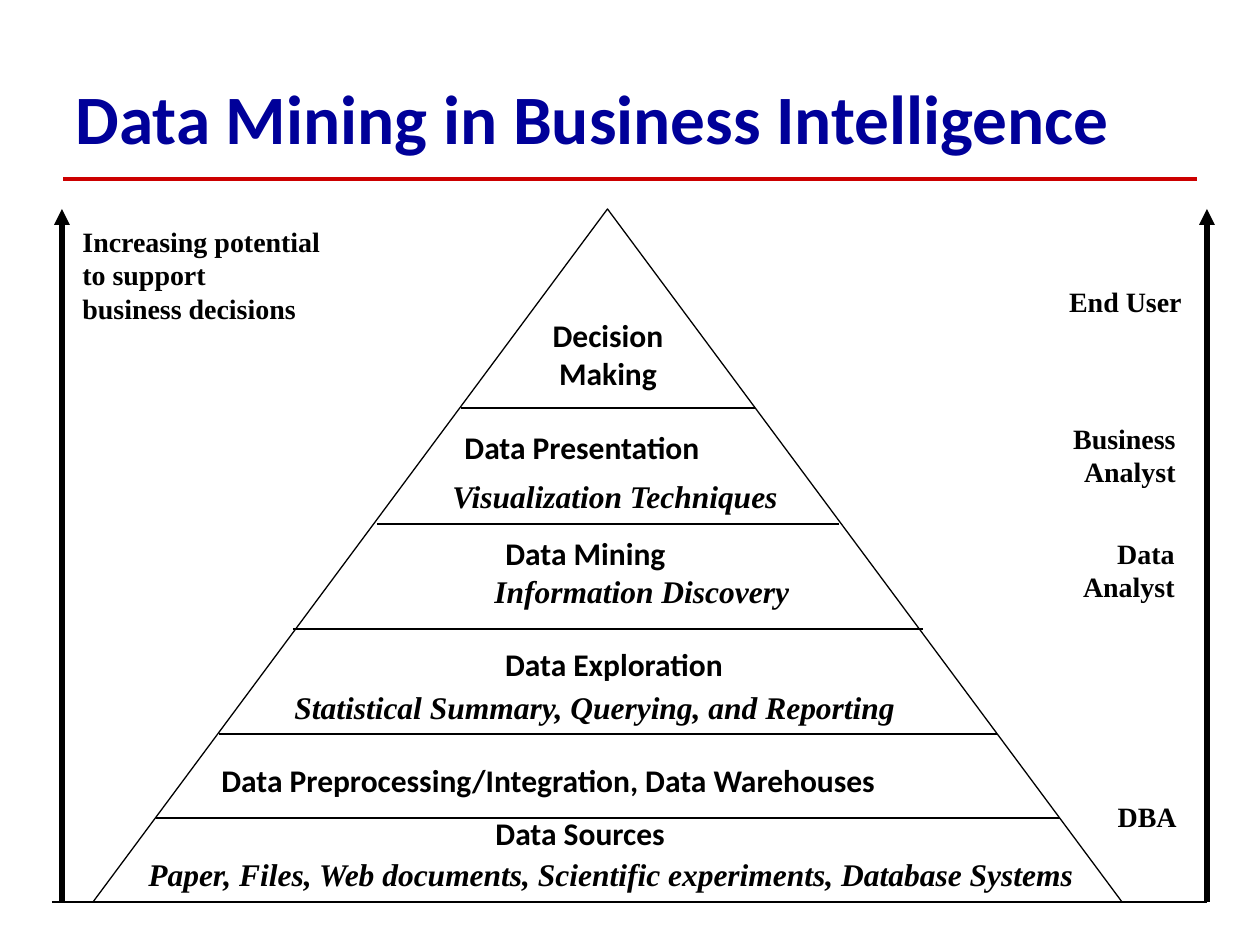
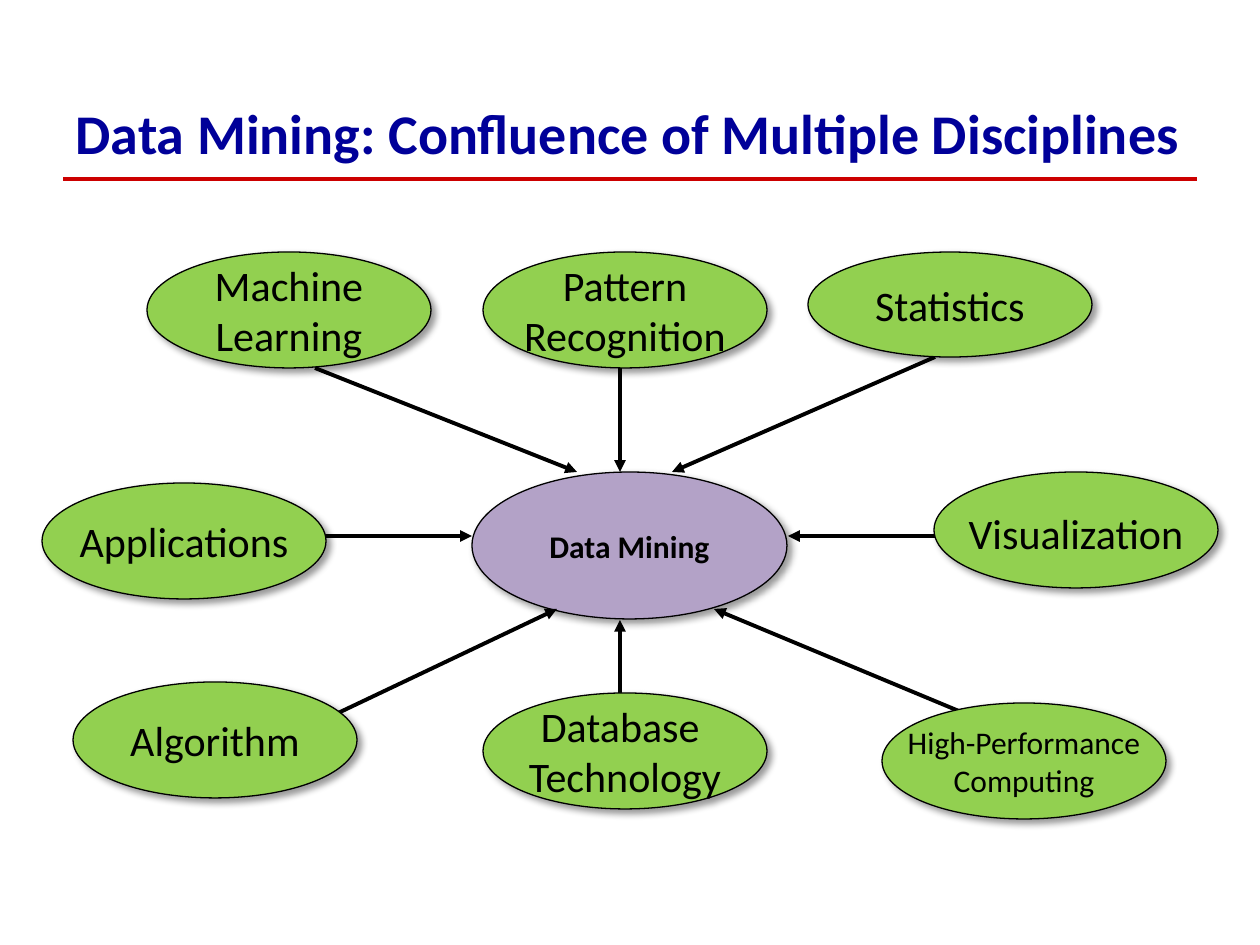
from lxml import etree
from pptx import Presentation
from pptx import util as u
from pptx.dml.color import RGBColor
from pptx.enum import shapes, text
from pptx.oxml import ns

BLACK, NAVY, RED = "000000", "000099", "CC0000"
GREEN, PURPLE = "92D050", "B3A2C7"
SANS, SERIF = "Calibri", "Times New Roman"
LEFT, CENTER, RIGHT = text.PP_ALIGN.LEFT, text.PP_ALIGN.CENTER, text.PP_ALIGN.RIGHT
BASE_Y, TOP_Y = 902, 209


def px(n):
    """Turn picture pixels into EMU."""
    return u.Emu(round(n * 914400 / 126))


def color(value):
    """Turn a hex string into a colour."""
    return RGBColor.from_string(value)


def sub(parent, tag, **attrs):
    """Append a DrawingML element."""
    return etree.SubElement(parent, ns.qn(tag), attrs)


def write(tf, words, size, font=SANS, align=LEFT, bold=False, italic=False, tint=BLACK):
    """Fill a text frame and format all its runs."""
    tf.text = words
    for p in tf.paragraphs:
        p.alignment = align
        for r in p.runs:
            r.font.name, r.font.size = font, u.Pt(size)
            r.font.bold, r.font.italic = bold, italic
            r.font.color.rgb = color(tint)


def outline(sp, tint=BLACK, width=0.75):
    """Set the line of a shape or connector."""
    sp.line.color.rgb = color(tint)
    sp.line.width = u.Pt(width)


def line(s, x1, y1, x2, y2, width=0.75, tint=BLACK, arrow=False):
    """Draw a straight line, with an arrowhead at its end if asked."""
    sp = s.shapes.add_connector(shapes.MSO_CONNECTOR.STRAIGHT, px(x1), px(y1), px(x2), px(y2))
    outline(sp, tint, width)
    if arrow:
        sub(sp.line._get_or_add_ln(), "a:tailEnd", type="triangle")
    sub(sp.element.spPr, "a:effectLst")
    return sp


def label(s, x, y, w, h, words, size=18, **style):
    """Add a bold text box."""
    tf = s.shapes.add_textbox(px(x), px(y), px(w), px(h)).text_frame
    tf.word_wrap = True
    write(tf, words, size, bold=True, **style)


def ellipse(s, x, y, words, w=284, h=116, fill=GREEN, size=24, bold=False):
    """Draw a shadowed ellipse with centred text."""
    sp = s.shapes.add_shape(shapes.MSO_SHAPE.OVAL, px(x), px(y), px(w), px(h))
    sp.fill.solid()
    sp.fill.fore_color.rgb = color(fill)
    outline(sp)
    effects = sub(sp.element.spPr, "a:effectLst")
    shadow = sub(effects, "a:outerShdw", blurRad=str(u.Pt(4)), dist=str(u.Pt(3)),
                 dir="2700000", algn="tl", rotWithShape="0")
    sub(sub(shadow, "a:srgbClr", val=BLACK), "a:alpha", val="40000")
    tf = sp.text_frame
    tf.word_wrap = False
    tf.vertical_anchor = text.MSO_ANCHOR.MIDDLE
    write(tf, words, size, align=CENTER, bold=bold)
    return sp


def titled_slide(prs, words, y, size):
    """Add a title-only slide with the shared title style."""
    s = prs.slides.add_slide(prs.slide_layouts[5])
    t = s.shapes.title
    t.left, t.top, t.width, t.height = px(63), px(y), px(1134), px(158)
    tf = t.text_frame
    write(tf, words, size, bold=True, tint=NAVY)
    tf.auto_size = text.MSO_AUTO_SIZE.NONE
    tf.vertical_anchor = text.MSO_ANCHOR.MIDDLE
    return s


def share_rule(prs, s):
    """Move a red title rule to the layout, so that every slide shows it."""
    rule = line(s, 63, 179, 1197, 179, 2.75, RED).element
    rule.nvCxnSpPr.cNvPr.set("id", "20")
    prs.slide_layouts[5].shapes.element.append(rule)


def pyramid_slide(s):
    """Draw the pyramid, its levels and the people who use them."""
    sp = s.shapes.add_shape(shapes.MSO_SHAPE.FLOWCHART_EXTRACT,
                            px(93), px(TOP_Y), px(1029), px(BASE_Y - TOP_Y))
    sp.fill.background()
    sp.shadow.inherit = False
    outline(sp)
    for x1, x2, y in [(156, 1060, 818), (219, 997, 734), (293, 923, 629),
                      (377, 839, 524), (461, 755, 408)]:
        line(s, x1, y, x2, y)
    for x in (62, 1207):
        line(s, x, BASE_Y, x, TOP_Y, 3, arrow=True)
    label(s, 70, 218, 270, 113, "Increasing potential\nto support\nbusiness decisions", 16, font=SERIF)
    for right, y, h, words in [(1194, 278, 47, "End User"), (1188, 415, 81, "Business\nAnalyst"),
                               (1187, 530, 81, "Data\nAnalyst"), (1189, 793, 47, "DBA")]:
        label(s, right - 145, y, 145, h, words, 16, font=SERIF, align=RIGHT)
    label(s, 524, 310, 168, 88, "Decision Making", align=CENTER)
    label(s, 452, 422, 311, 50, "Data Presentation")
    label(s, 493, 528, 246, 50, "Data Mining")
    label(s, 452, 639, 324, 50, "Data Exploration", align=CENTER)
    label(s, 209, 755, 830, 50, "Data Preprocessing/Integration, Data Warehouses")
    label(s, 483, 808, 234, 50, "Data Sources")
    for x, y, w, words in [
            (440, 471, 362, "Visualization Techniques"),
            (482, 566, 328, "Information Discovery"),
            (282, 682, 640, "Statistical Summary, Querying, and Reporting"),
            (136, 849, 980, "Paper, Files, Web documents, Scientific experiments, Database Systems")]:
        label(s, x, y, w, 50, words, font=SERIF, italic=True)
    line(s, 52, BASE_Y, 1207, BASE_Y)


def disciplines_slide(s):
    """Draw the disciplines that flow into data mining."""
    ellipse(s, 472, 472, "Data Mining", 315, 147, PURPLE, 18, True)
    for ends in [(325, 536, 472, 536), (315, 368, 577, 472), (935, 357, 672, 472),
                 (935, 536, 788, 536), (966, 714, 714, 609), (336, 714, 557, 609),
                 (620, 735, 620, 620), (620, 368, 620, 472)]:
        line(s, *ends, width=2.25, arrow=True)
    for x, y, words in [(147, 252, "Machine\nLearning"), (42, 483, "Applications"),
                        (73, 682, "Algorithm"), (483, 252, "Pattern\nRecognition"),
                        (483, 693, "Database \nTechnology")]:
        ellipse(s, x, y, words)
    ellipse(s, 808, 252, "Statistics", h=105)
    ellipse(s, 882, 703, "High-Performance\nComputing", size=18)
    p = ellipse(s, 934, 472, "Visualization").text_frame.paragraphs[0]
    p.line_spacing, p.space_before = 1.1, u.Pt(5)


def main():
    """Build and save the slides."""
    prs = Presentation()
    prs.slide_width, prs.slide_height = px(1260), px(945)
    s = titled_slide(prs, "Data Mining in Business Intelligence", 38, 39.6)
    share_rule(prs, s)
    pyramid_slide(s)
    disciplines_slide(titled_slide(prs, "Data Mining: Confluence of Multiple Disciplines", 53, 32))
    prs.save("out.pptx")


main()
